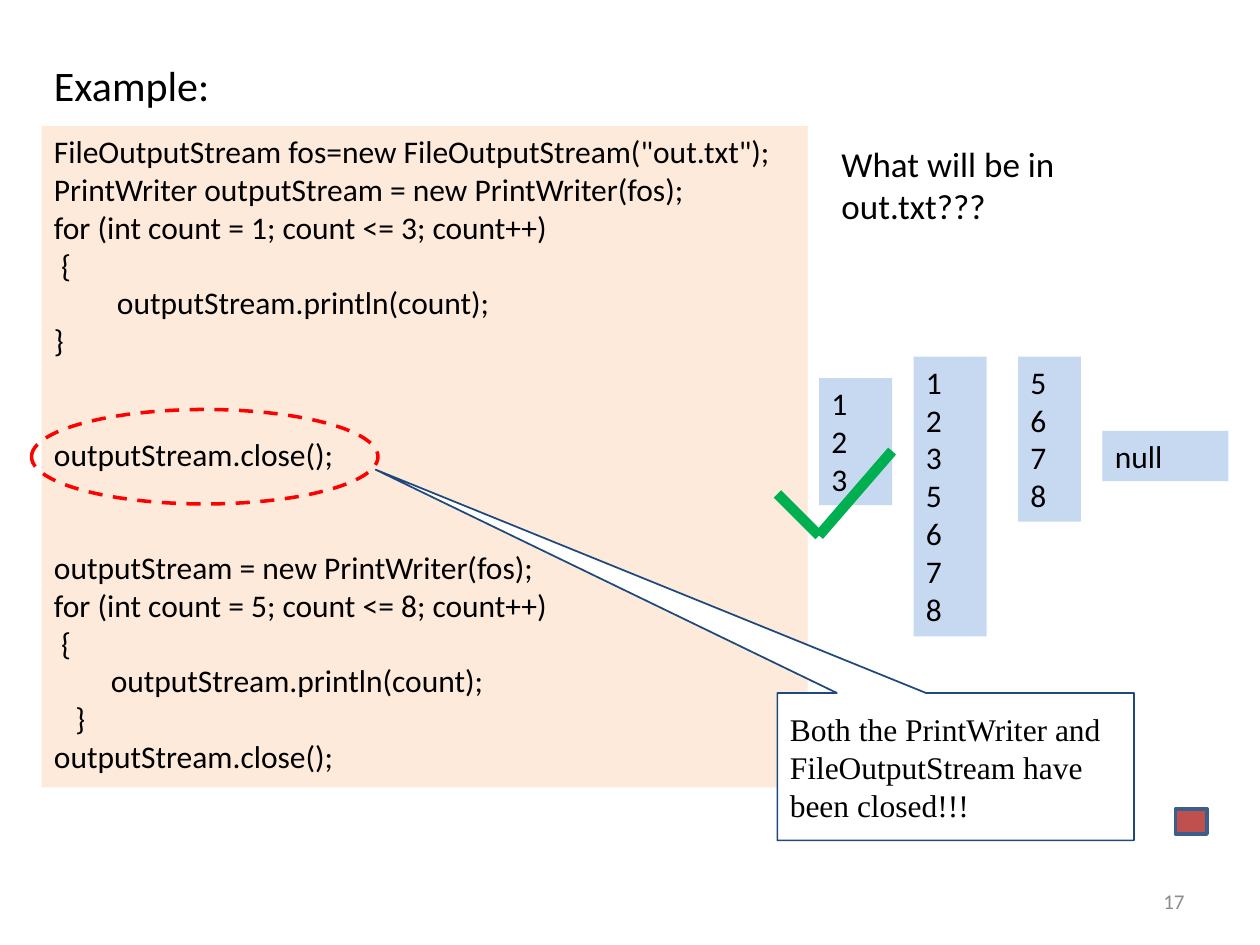
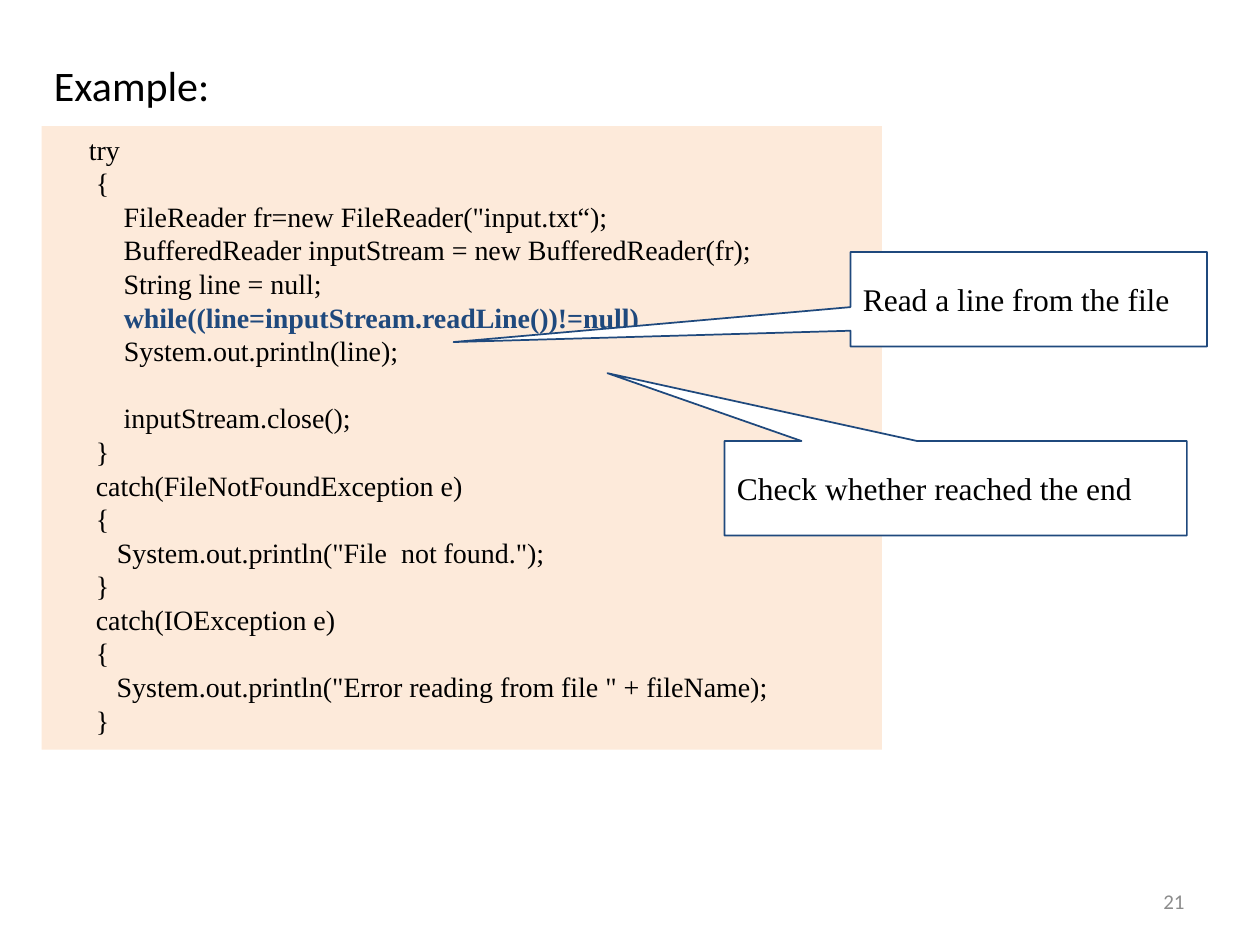
"""Build two Java file-stream example slides."""
import pptx
import pptx.util
import pptx.dml.color
import pptx.enum.dml
import pptx.enum.shapes
import pptx.enum.text
import pptx.oxml.ns
import lxml.etree

SANS, SERIF = "Calibri", "Times New Roman"
BLACK, WHITE, GREY = "000000", "FFFFFF", "8C8C8C"
PEACH, SKY, NAVY = "FDEADA", "C6D9F1", "1F497D"
GREEN, RED, BRICK, STEEL = "00B050", "FF0000", "C0504D", "3A5F8C"
PITCH = 1.2
KIND = pptx.enum.shapes.MSO_SHAPE
MID = pptx.enum.text.MSO_ANCHOR.MIDDLE

WRITE = [
    ['FileOutputStream fos=new FileOutputStream("out.txt");',
     "PrintWriter outputStream = new PrintWriter(fos);",
     "for (int count = 1; count <= 3; count++)",
     " {",
     "\toutputStream.println(count);",
     "}"],
    ["outputStream.close();"],
    ["outputStream = new PrintWriter(fos);",
     "for (int count = 5; count <= 8; count++)",
     " {",
     "        outputStream.println(count);",
     "   }",
     "outputStream.close();"],
]
READ = [
    ["     try",
     "      {",
     '          FileReader fr=new FileReader("input.txt“);',
     "          BufferedReader inputStream = new BufferedReader(fr);",
     "          String line = null;",
     ("          ", "while((line=inputStream.readLine())!=null)"),
     "\t System.out.println(line);"],
    ["          inputStream.close();",
     "      }",
     "      catch(FileNotFoundException e)",
     "      {",
     '\tSystem.out.println("File  not found.");',
     "      }",
     "      catch(IOException e)",
     "      {",
     '         System.out.println("Error reading from file " + fileName);',
     "      }"],
]
PAGES = [
    dict(num="17", code=WRITE, size=(6.08, 5.25), font=SANS, pt=18, gap=2,
         notes=[("Both the PrintWriter and FileOutputStream have been closed!!!",
                 (6.17, 5.5, 2.83, 1.17), (-1.627, -2.015))]),
    dict(num="21", code=READ, size=(6.67, 4.95), font=SERIF, pt=16, gap=1,
         notes=[("Check whether reached the end",
                 (5.75, 3.5, 3.67, 0.75), (-0.753, -1.218)),
                ("Read a line from the file",
                 (6.75, 2, 2.83, 0.75), (-1.613, 0.453))]),
]
ASK = "What will be in out.txt???"
PICKS = [
    (["1", "2", "3"], (6.5, 3, 0.58, 1.01)),
    (["1", "2", "3", "5", "6", "7", "8"], (7.25, 2.83, 0.58, 2.22)),
    (["5", "6", "7", "8"], (8.08, 2.83, 0.5, 1.31)),
    (["null"], (8.75, 3.42, 1, 0.4)),
]
TICK = [(6.17, 3.92), (6.5, 4.25), (7.08, 3.58)]


def inch(nums):
    return [pptx.util.Inches(n) for n in nums]


def rgb(code):
    return pptx.dml.color.RGBColor.from_string(code)


def shape(slide, box, kind=KIND.RECTANGLE, fill=None, line=None, width=1):
    item = slide.shapes.add_shape(kind, *inch(box))
    item.shadow.inherit = False
    if fill:
        item.fill.solid()
        item.fill.fore_color.rgb = rgb(fill)
    else:
        item.fill.background()
    if line:
        item.line.color.rgb = rgb(line)
        item.line.width = pptx.util.Pt(width)
    else:
        item.line.fill.background()
    return item


def write(item, blocks, pt, font=SANS, color=BLACK, gap=0,
          anchor=pptx.enum.text.MSO_ANCHOR.TOP,
          align=pptx.enum.text.PP_ALIGN.LEFT):
    frame = item.text_frame
    frame.word_wrap = True
    frame.vertical_anchor = anchor
    para = None
    for block in blocks:
        for row, line in enumerate(block):
            first = para is None
            para = frame.paragraphs[0] if first else frame.add_paragraph()
            para.alignment = align
            if row == 0 and not first:
                para.space_before = pptx.util.Pt(gap * pt * PITCH)
            parts = (line,) if isinstance(line, str) else line
            for spot, text in enumerate(parts):
                run = para.add_run()
                run.text = text
                run.font.name = font
                run.font.size = pptx.util.Pt(pt)
                run.font.bold = spot > 0
                run.font.color.rgb = rgb(NAVY if spot else color)


def label(slide, text, box, pt, **style):
    write(slide.shapes.add_textbox(*inch(box)), [[text]], pt, **style)


def base(deck, page):
    slide = deck.slides.add_slide(deck.slide_layouts[6])
    label(slide, page["num"], (7.17, 6.95, 2.33, 0.4), 12, color=GREY,
          anchor=MID, align=pptx.enum.text.PP_ALIGN.RIGHT)
    panel = shape(slide, (0.33, 1, *page["size"]), fill=PEACH)
    write(panel, page["code"], page["pt"], page["font"], gap=page["gap"])
    label(slide, "Example:", (0.33, 0.42, 2.25, 0.5), 24)
    return slide


def notes(slide, page):
    for text, box, tip in page["notes"]:
        note = shape(slide, box, KIND.RECTANGULAR_CALLOUT, WHITE, NAVY)
        for spot, value in enumerate(tip):
            note.adjustments[spot] = value
        write(note, [[text]], 18, SERIF, anchor=MID)


def quiz(slide):
    label(slide, ASK, (6.58, 1.08, 2.67, 0.77), 20)
    for lines, box in PICKS:
        write(shape(slide, box, fill=SKY), [lines], 18)
    for start, end in zip(TICK, TICK[1:]):
        line = slide.shapes.add_connector(
            pptx.enum.shapes.MSO_CONNECTOR.STRAIGHT, *inch(start + end))
        line.line.color.rgb = rgb(GREEN)
        line.line.width = pptx.util.Pt(6)
        lxml.etree.SubElement(line.element.spPr,
                              pptx.oxml.ns.qn("a:effectLst"))
    ring = shape(slide, (0.25, 3.25, 2.75, 0.75), KIND.OVAL, None, RED, 2)
    ring.line.dash_style = pptx.enum.dml.MSO_LINE.DASH


def main():
    deck = pptx.Presentation()
    deck.slide_width, deck.slide_height = inch((10, 7.5))
    first, second = PAGES
    slide = base(deck, first)
    quiz(slide)
    notes(slide, first)
    shape(slide, (9.33, 6.42, 0.25, 0.2), fill=BRICK, line=STEEL, width=2)
    notes(base(deck, second), second)
    deck.save("out.pptx")


if __name__ == "__main__":
    main()
